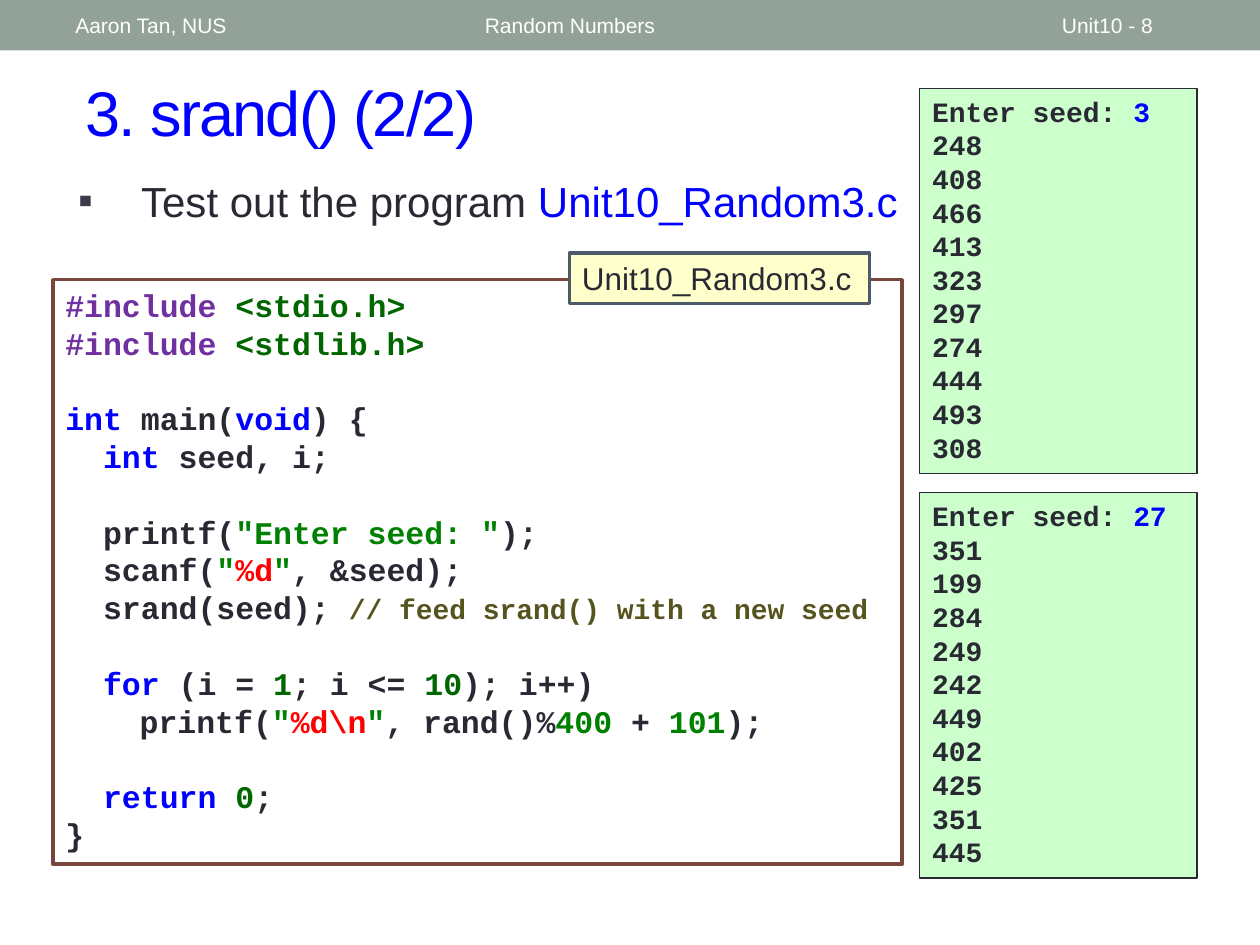
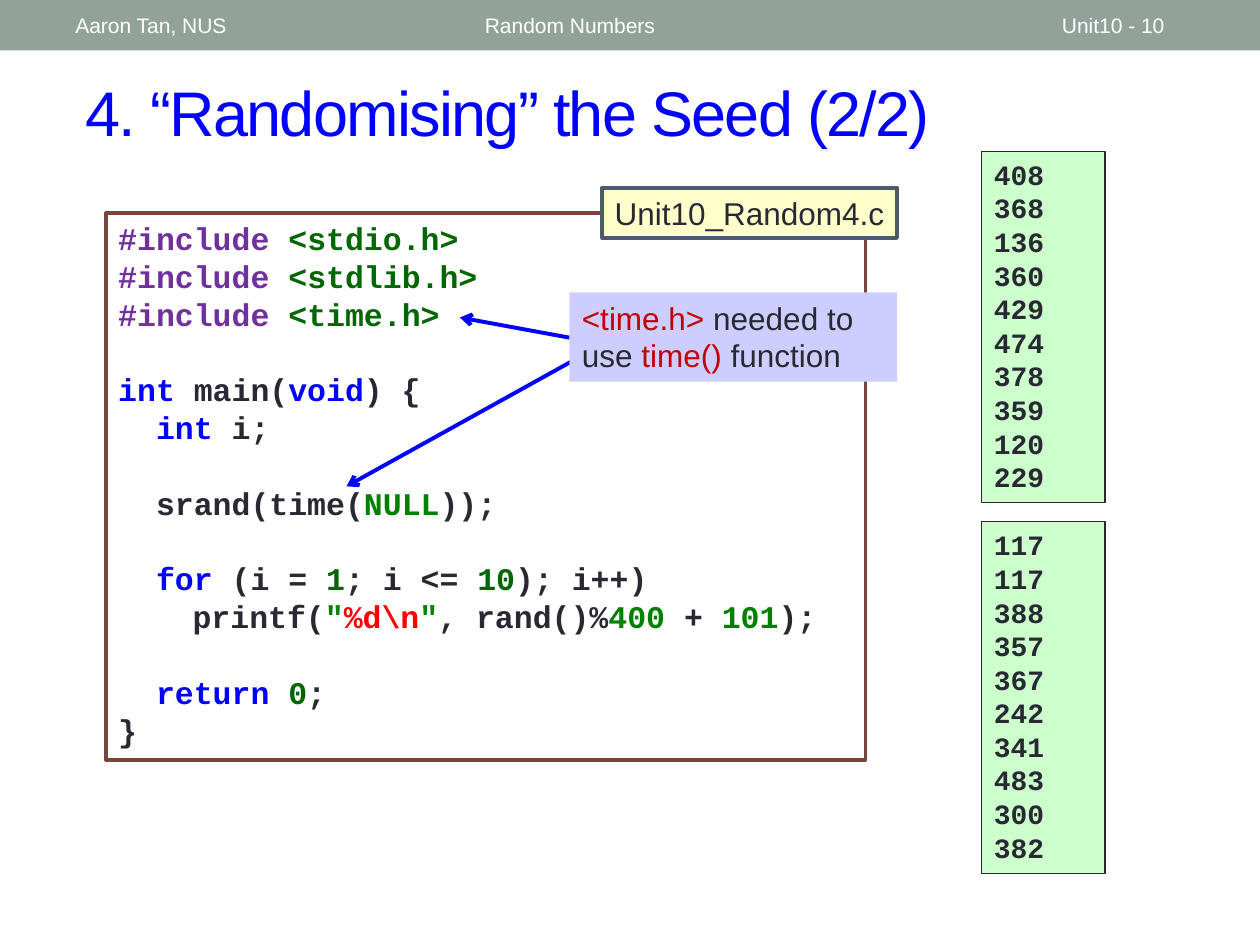
from pptx import Presentation
from pptx.dml.color import RGBColor
from pptx.enum.shapes import MSO_CONNECTOR as CONN, MSO_SHAPE as SHAPE
from pptx.enum.text import MSO_ANCHOR as ANCHOR, MSO_AUTO_SIZE as AUTO, PP_ALIGN as ALIGN
from pptx.oxml.ns import qn
from pptx.util import Inches, Pt
from lxml.etree import SubElement

# Shared look
SANS, MONO = "Arial", "Courier New"
INK, WHITE, BAND = "292934", "FFFFFF", "93A299"
BLUE, PURPLE, RED, BRICK = "0000FF", "7030A0", "FF0000", "C00000"
GREEN, DARK_GREEN, OLIVE = "008000", "006600", "56541E"
CODE_LINE, LABEL_FILL, LABEL_LINE = "79463D", "FFFFCC", "4C5A6A"
OUTPUT_FILL, NOTE_FILL, BULLET = "CCFFCC", "CDCDFF", "3B3B4B"
LEADING = 1.2
TABS = (0.3, 0.59, 0.89, 1.08)

# Code shared by both programs; a line is a list of runs, None is a gap
LOOP_AND_END = [
    None,
    [("\tfor", BLUE), " (i = ", ("1", DARK_GREEN), "; i <= ", ("10", DARK_GREEN), "); i++)"],
    ["\t\tprintf(", ('"', GREEN), ("%d\\n", RED), ('"', GREEN), ", rand()%",
     ("400", GREEN), " + ", ("101", GREEN), ");"],
    None,
    [("\treturn ", BLUE), ("0", DARK_GREEN), ";"],
    ["}"],
]
MAIN = [("int", BLUE), " main(", ("void", BLUE), ") {"]


def include(header):
    return [("#include ", PURPLE), (f"<{header}>", DARK_GREEN)]


SEED_CODE = [
    include("stdio.h"),
    include("stdlib.h"),
    None,
    MAIN,
    [("\tint", BLUE), " seed, i;"],
    None,
    ["\tprintf(", ('"Enter seed: "', GREEN), ");"],
    ["\tscanf(", ('"', GREEN), ("%d", RED), ('"', GREEN), ", &seed);"],
    ["\tsrand(seed); ", ("// feed srand() with a new seed", OLIVE, 16)],
] + LOOP_AND_END

TIME_CODE = [
    include("stdio.h"),
    include("stdlib.h"),
    include("time.h"),
    None,
    MAIN,
    [("\tint", BLUE), " i;"],
    None,
    ["\tsrand(time(", ("NULL", GREEN), "));"],
] + LOOP_AND_END


def rgb(color):
    return RGBColor.from_string(color)


def write(tf, lines, size=18, font=SANS, color=INK, bold=False, leading=None, tabs=()):
    """Fill a frame; runs are strings or (text, colour[, size]) tuples."""
    tf.word_wrap = True
    tf.auto_size = AUTO.NONE
    p, gap = None, 0
    for line in lines:
        if line is None:
            gap = size * LEADING
            continue
        p = tf.add_paragraph() if p is not None else tf.paragraphs[0]
        p.alignment = ALIGN.LEFT
        if leading:
            p.line_spacing = Pt(size * leading)
        p.space_before = Pt(gap)
        gap = 0
        if tabs:
            tab_list = SubElement(p._p.get_or_add_pPr(), qn("a:tabLst"))
            for pos in tabs:
                SubElement(tab_list, qn("a:tab"), pos=str(Inches(pos)), algn="l")
        for part in line:
            text, *look = (part,) if isinstance(part, str) else part
            r = p.add_run()
            r.text = text
            r.font.name, r.font.bold = font, bold
            r.font.color.rgb = rgb(look[0] if look else color)
            r.font.size = Pt(look[1] if len(look) > 1 else size)


def place(sp, left, top, width, height):
    sp.left, sp.top = Inches(left), Inches(top)
    sp.width, sp.height = Inches(width), Inches(height)


def add_box(s, at, fill, line=None, weight=0.75, lines=(), **look):
    sp = s.shapes.add_shape(SHAPE.RECTANGLE, *map(Inches, at))
    sp.shadow.inherit = False
    sp.fill.solid()
    sp.fill.fore_color.rgb = rgb(fill)
    if line:
        sp.line.color.rgb = rgb(line)
        sp.line.width = Pt(weight)
    else:
        sp.line.fill.background()
    sp.text_frame.vertical_anchor = ANCHOR.TOP
    if lines:
        write(sp.text_frame, lines, leading=LEADING, **look)
    return sp


def add_code(s, at, code):
    add_box(s, at, WHITE, CODE_LINE, 2.08, code, font=MONO, bold=True, tabs=TABS)


def add_file_label(s, at, name):
    sp = add_box(s, at, LABEL_FILL, LABEL_LINE, 2.08, [[name]])
    sp.text_frame.margin_right = 0


def add_output(s, at, numbers, seed=None):
    lines = [["Enter seed: ", (seed, BLUE)]] if seed else []
    lines += [[n] for n in numbers.split()]
    add_box(s, at, OUTPUT_FILL, INK, lines=lines, size=16, font=MONO, bold=True)


def add_arrow(s, start, end):
    c = s.shapes.add_connector(CONN.STRAIGHT, *map(Inches, start + end))
    c.line.color.rgb = rgb(BLUE)
    c.line.width = Pt(2.25)
    SubElement(c.line._get_or_add_ln(), qn("a:tailEnd"), type="arrow")
    SubElement(c._element.spPr, qn("a:effectLst"))


def add_master_band(prs, s):
    """Draw the top band and move it to the back of the master."""
    band = add_box(s, (0, 0, 10, 0.4), BAND)
    band.element.nvSpPr.cNvPr.set("id", "99")
    prs.slide_master.shapes.element.insert(2, band.element)


def add_slide(prs, layout, number, title):
    s = prs.slides.add_slide(prs.slide_layouts[layout])
    t = s.shapes.title
    place(t, 0.58, 0.42, 9.17, 0.92)
    write(t.text_frame, [[title]], size=36, color=BLUE)
    t.text_frame.vertical_anchor = ANCHOR.MIDDLE
    t.text_frame.paragraphs[0].runs[0].font._element.set("spc", "-100")
    # Header texts on the band
    for left, width, text in ((3.75, 4.5, "Random Numbers"),
                              (8.33, 1.17, f"Unit10 - {number}"),
                              (0.5, 3.17, "Aaron Tan, NUS")):
        tb = s.shapes.add_textbox(*map(Inches, (left, 0.02, width, 0.36)))
        write(tb.text_frame, [[text]], size=12, color=WHITE)
        tb.text_frame.vertical_anchor = ANCHOR.MIDDLE
    return s


def add_bullet(s, runs):
    body = s.placeholders[1]
    place(body, 0.52, 1.34, 8.56, 0.67)
    write(body.text_frame, [runs], size=24)
    p = body.text_frame.paragraphs[0]
    p.space_before = Pt(12)
    pPr = p._p.get_or_add_pPr()
    pPr.set("marL", str(Inches(0.5)))
    pPr.set("indent", str(Inches(-0.5)))
    SubElement(SubElement(pPr, qn("a:buClr")), qn("a:srgbClr"), val=BULLET)
    SubElement(pPr, qn("a:buFont"), typeface=SANS)
    SubElement(pPr, qn("a:buChar"), char="▪")


def build_srand(prs):
    s = add_slide(prs, 1, 8, "3. srand() (2/2)")
    add_master_band(prs, s)
    add_bullet(s, ["Test out the program ", ("Unit10_Random3.c", BLUE)])
    add_code(s, (0.42, 2.22, 6.74, 4.64), SEED_CODE)
    add_file_label(s, (4.52, 2.01, 2.38, 0.4), "Unit10_Random3.c")
    # Two sample runs
    add_output(s, (7.3, 0.7, 2.2, 3.06), "248 408 466 413 323 297 274 444 493 308", "3")
    add_output(s, (7.3, 3.91, 2.2, 3.06), "351 199 284 249 242 449 402 425 351 445", "27")


def build_time(prs):
    s = add_slide(prs, 5, 10, "4. “Randomising” the Seed (2/2)")
    add_code(s, (0.84, 1.69, 6.03, 4.34), TIME_CODE)
    add_file_label(s, (4.78, 1.49, 2.34, 0.4), "Unit10_Random4.c")
    # Note pointing at the header and the call
    add_arrow(s, (4.66, 2.8), (2.75, 3.86))
    add_arrow(s, (4.52, 2.68), (3.65, 2.52))
    add_box(s, (4.52, 2.32, 2.6, 0.71), NOTE_FILL, lines=[
        [("<time.h> ", BRICK), "needed to use ", ("time() ", BRICK), "function"]])
    # Two sample runs
    add_output(s, (7.79, 1.2, 0.98, 2.79), "408 368 136 360 429 474 378 359 120 229")
    add_output(s, (7.79, 4.14, 0.98, 2.79), "117 117 388 357 367 242 341 483 300 382")


def main():
    prs = Presentation()
    prs.slide_width, prs.slide_height = Inches(10), Inches(7.5)
    build_srand(prs)
    build_time(prs)
    prs.save("out.pptx")


main()
